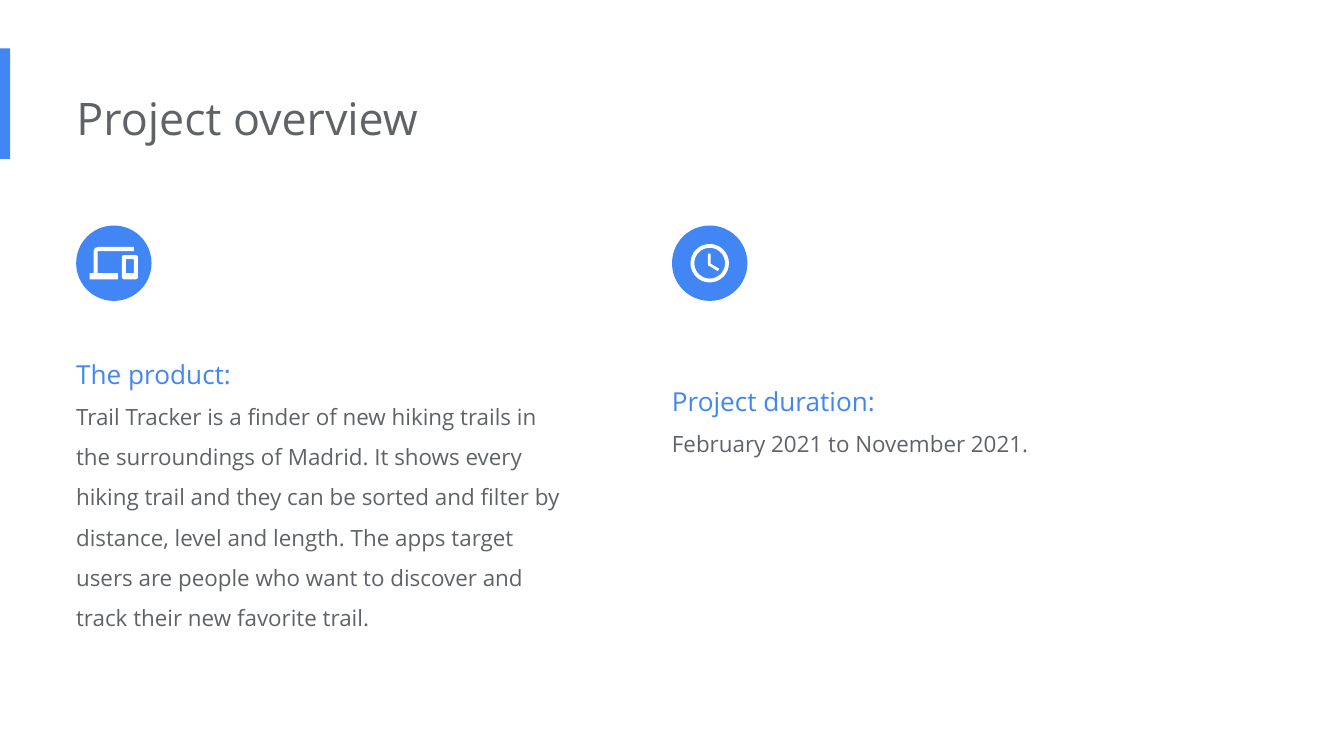
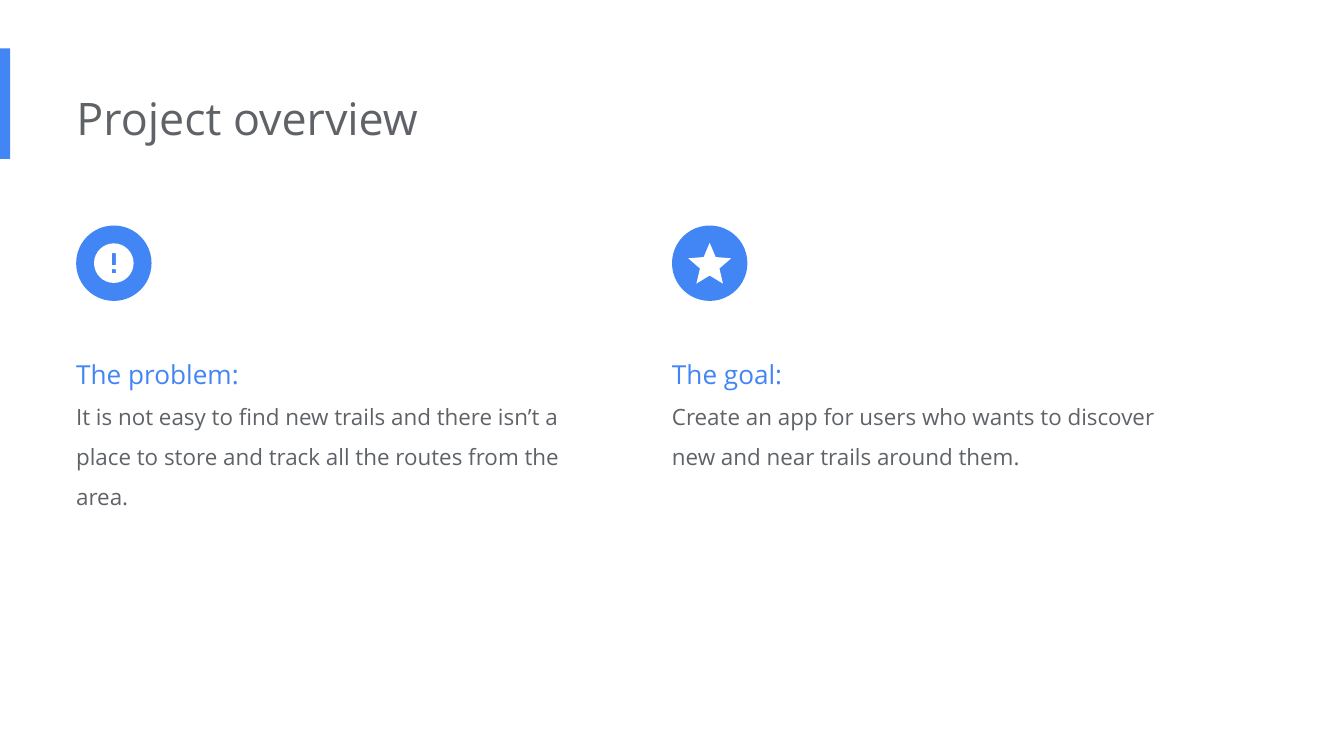
from dataclasses import dataclass

import pptx
import pptx.dml.color
import pptx.enum.shapes
import pptx.enum.text
import pptx.oxml.ns
import pptx.util

Pt = pptx.util.Pt
SHAPES = pptx.enum.shapes.MSO_SHAPE


@dataclass(frozen=True)
class Theme:
    font: str = "Open Sans"
    blue: str = "4285F4"
    grey: str = "5F6368"
    white: str = "FFFFFF"
    title_size: float = 24
    heading_size: float = 14
    body_size: float = 12
    body_spacing: float = 1.5


THEME = Theme()

# Layout, in points
SLIDE_SIZE = (720, 405)
COLUMN_LEFTS = (40.8, 360)
COLUMN_WIDTH = 271.4
BADGE_TOP, BADGE_SIZE = 120.8, 40.4
TEXT_TOP = 176.2
ONE_LINE_HEIGHT, LINE_STEP = 61.2, 21.6
DURATION_DROP = 14.5

ICON_GRID = 24  # icons are outlined on a 24 by 24 grid
GRID_STEPS = 100
CURVE = 0.55  # handle length of a quarter circle, as a share of its radius


# Icon outlines: a segment is a list of one point (line) or three (curve)
def line(*points):
    return [[point] for point in points]


def quarter(start, corner, end):
    """Round the corner between two points."""
    handles = [tuple(a + (c - a) * CURVE for a, c in zip(point, corner))
               for point in (start, end)]
    return [[*handles, end]]


def rounded_box(left, top, right, bottom, radius):
    corners = [
        ((left, top + radius), (left, top), (left + radius, top)),
        ((right - radius, top), (right, top), (right, top + radius)),
        ((right, bottom - radius), (right, bottom), (right - radius, bottom)),
        ((left + radius, bottom), (left, bottom), (left, bottom - radius)),
    ]
    outline = line(corners[0][0])
    for start, corner, end in corners:
        if outline[-1][-1] != start:
            outline += line(start)
        outline += quarter(start, corner, end)
    return outline


def circle(radius):
    low, high = ICON_GRID / 2 - radius, ICON_GRID / 2 + radius
    return rounded_box(low, low, high, high, radius)


def box(left, top, right, bottom):
    return line((left, top), (left, bottom), (right, bottom), (right, top))


def devices_icon():
    laptop = [*line((4, 6), (22, 6), (22, 4), (4, 4)), *quarter((4, 4), (2, 4), (2, 6)),
              *line((2, 17), (0, 17), (0, 20), (14, 20), (14, 17), (4, 17))]
    return [laptop, rounded_box(16, 8, 24, 20, 1), box(18, 10, 22, 17)]


def clock_icon():
    hands = line((11, 7), (11, 13), (16.25, 16.15), (17, 14.92), (12.5, 12.25), (12.5, 7))
    return [circle(10), circle(8), hands]


def alert_icon():
    return [box(11, 7, 13, 13), box(11, 15, 13, 17), circle(10)]


def star_icon():
    right_half = [(12, 2.5), (14.81, 9.13), (22, 9.74), (16.54, 14.47), (18.18, 21.5)]
    left_half = [(ICON_GRID - x, y) for x, y in reversed(right_half[1:])]
    return [line(*right_half, (12, 17.77), *left_half)]


# Shapes and text
def paint(shape, colour):
    shape.shadow.inherit = False
    shape.fill.solid()
    shape.fill.fore_color.rgb = pptx.dml.color.RGBColor.from_string(colour)
    shape.line.fill.background()


def add_filled_shape(slide, kind, left, top, width, height):
    shape = slide.shapes.add_shape(kind, Pt(left), Pt(top), Pt(width), Pt(height))
    paint(shape, THEME.blue)


def bend_lines(shape, outlines):
    """Join the three lines that stand for each curve into one Bezier segment."""
    qualified = pptx.oxml.ns.qn
    elements = iter(list(shape.element.iter(qualified("a:lnTo"))))
    for outline in outlines:
        for segment in outline[1:]:
            element = next(elements)
            if len(segment) == 3:
                element.tag = qualified("a:cubicBezTo")
                for _ in range(2):
                    extra = next(elements)
                    element.append(extra[0])
                    extra.getparent().remove(extra)


def add_badge(slide, left, outlines, unit):
    """Blue disc with a white icon; unit is the size of one grid step."""
    add_filled_shape(slide, SHAPES.OVAL, left, BADGE_TOP, BADGE_SIZE, BADGE_SIZE)
    scaled = [[(x * GRID_STEPS, y * GRID_STEPS) for segment in outline for x, y in segment]
              for outline in outlines]
    builder = slide.shapes.build_freeform(*scaled[0][0], scale=Pt(unit) / GRID_STEPS)
    for index, points in enumerate(scaled):
        if index:
            builder.move_to(*points[0])
        builder.add_line_segments(points[1:], close=True)
    inset = (BADGE_SIZE - ICON_GRID * unit) / 2
    icon = builder.convert_to_shape(Pt(left + inset), Pt(BADGE_TOP + inset))
    bend_lines(icon, outlines)
    paint(icon, THEME.white)


def add_text(slide, left, top, width, height, lines, spacing=1.0):
    """Each line is (text, size, colour)."""
    shape = slide.shapes.add_textbox(Pt(left), Pt(top), Pt(width), Pt(height))
    frame = shape.text_frame
    frame_format = {
        "word_wrap": True,
        "auto_size": pptx.enum.text.MSO_AUTO_SIZE.SHAPE_TO_FIT_TEXT,
        "margin_left": 0,
        "margin_top": Pt(7.2),
        "margin_right": Pt(7.2),
        "margin_bottom": Pt(7.2),
    }
    for name, value in frame_format.items():
        setattr(frame, name, value)
    for index, (text, size, colour) in enumerate(lines):
        paragraph = frame.add_paragraph() if index else frame.paragraphs[0]
        paragraph.line_spacing = spacing
        run = paragraph.add_run()
        run.text = text
        for name, value in {"name": THEME.font, "size": Pt(size)}.items():
            setattr(run.font, name, value)
        run.font.color.rgb = pptx.dml.color.RGBColor.from_string(colour)


def add_column(slide, left, icon, unit, heading, body, line_count, drop=0):
    lines = [(heading, THEME.heading_size, THEME.blue), (body, THEME.body_size, THEME.grey)]
    height = ONE_LINE_HEIGHT + LINE_STEP * (line_count - 1)
    add_text(slide, left, TEXT_TOP + drop, COLUMN_WIDTH, height, lines, THEME.body_spacing)
    add_badge(slide, left, icon, unit)


def add_overview_slide(presentation, columns):
    slide = presentation.slides.add_slide(presentation.slide_layouts[6])
    add_filled_shape(slide, SHAPES.RECTANGLE, 0, 26, 5.5, 59.2)
    add_text(slide, 41, 41.4, 484.6, 43.2,
             [("Project overview", THEME.title_size, THEME.grey)])
    for left, column in zip(COLUMN_LEFTS, columns):
        add_column(slide, left, *column)


def main():
    presentation = pptx.Presentation()
    presentation.slide_width, presentation.slide_height = map(Pt, SLIDE_SIZE)

    # Product and duration
    add_overview_slide(presentation, [
        (devices_icon(), 1.08, "The product:",
         "Trail Tracker is a finder of new hiking trails in the surroundings of Madrid. "
         "It shows every hiking trail and they can be sorted and filter by distance, "
         "level and length. The apps target users are people who want to discover and "
         "track their new favorite trail.", 6),
        (clock_icon(), 1.03, "Project duration:",
         "February 2021 to November 2021.", 1, DURATION_DROP),
    ])

    # Problem and goal
    add_overview_slide(presentation, [
        (alert_icon(), 1.06, "The problem:",
         "It is not easy to find new trails and there isn’t a place to store and track "
         "all the routes from the area.", 3),
        (star_icon(), 1.15, "The goal:",
         "Create an app for users who wants to discover new and near trails around them.", 2),
    ])

    presentation.save("out.pptx")


if __name__ == "__main__":
    main()
